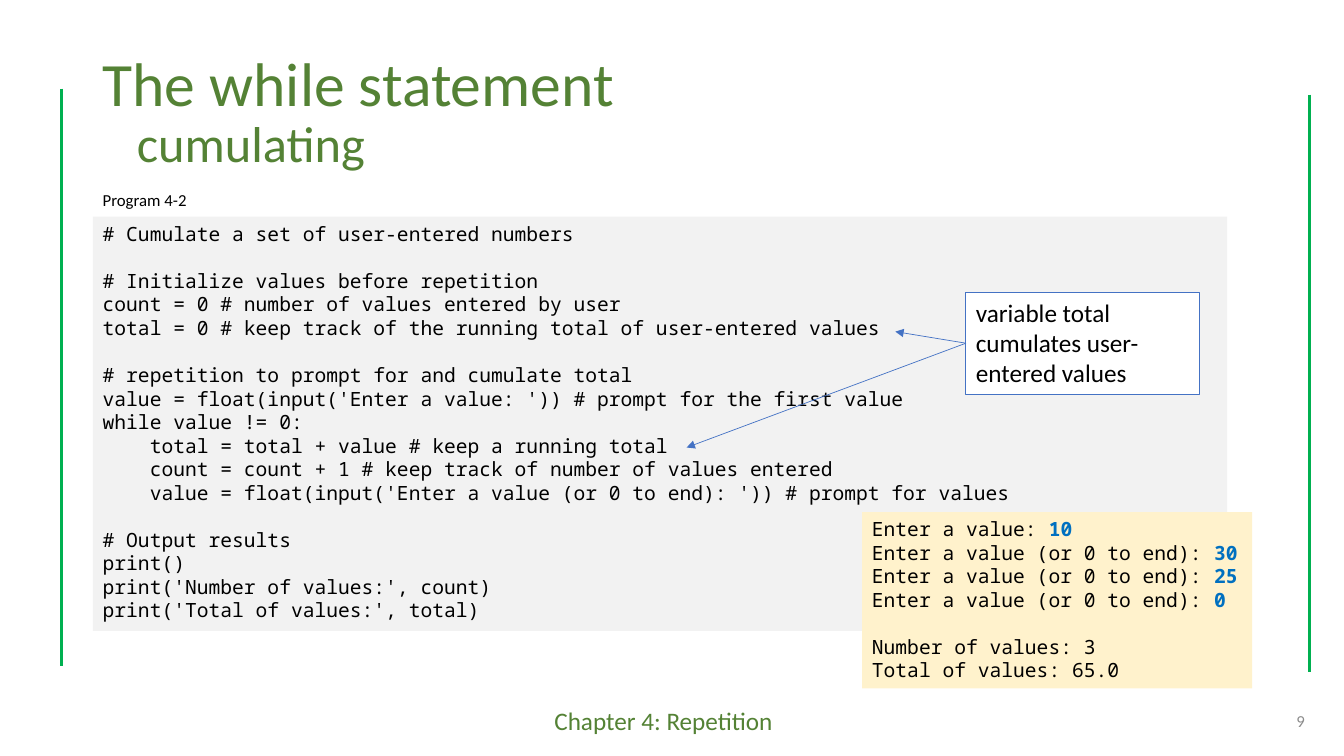
from pptx import Presentation
from pptx.dml.color import RGBColor
from pptx.enum.shapes import MSO_CONNECTOR
from pptx.enum.text import MSO_ANCHOR, PP_ALIGN
from pptx.oxml.ns import qn
from pptx.util import Inches, Pt
from lxml import etree

COLORS = {
    "green": "548235", "rule": "00B050", "blue": "4472C4", "input": "0070C0",
    "black": "000000", "gray": "8C8C8C", "white": "FFFFFF",
    "code": "F2F2F2", "output": "FFF2CC",
}
MONO = "Noto Sans Mono"
BLANK = Pt(16.8)

deck = Presentation()
deck.slide_width, deck.slide_height = Inches(13.33), Inches(7.5)
slide = deck.slides.add_slide(deck.slide_layouts[6])


def color(name):
    return RGBColor.from_string(COLORS[name])


def add_line(start, end, ink, width):
    line = slide.shapes.add_connector(
        MSO_CONNECTOR.STRAIGHT, *[Inches(v) for v in start + end])
    line.line.color.rgb = color(ink)
    line.line.width = Pt(width)
    etree.SubElement(line._element.spPr, qn("a:effectLst"))
    return line


for x, top in ((0.61, 0.88), (12.99, 0.94)):
    add_line((x, top), (x, top + 5.73), "rule", 2.25)

code = """# Cumulate a set of user-entered numbers

# Initialize values before repetition
count = 0 # number of values entered by user
total = 0 # keep track of the running total of user-entered values

# repetition to prompt for and cumulate total
value = float(input('Enter a value: ')) # prompt for the first value
while value != 0:
    total = total + value # keep a running total
    count = count + 1 # keep track of number of values entered
    value = float(input('Enter a value (or 0 to end): ')) # prompt for values

# Output results
print()
print('Number of values:', count)
print('Total of values:', total)"""

output = """Enter a value: |10
Enter a value (or 0 to end): |30
Enter a value (or 0 to end): |25
Enter a value (or 0 to end): |0

Number of values: 3
Total of values: 65.0"""

boxes = {
    "footer": ((5.4, 6.95, 2.53, 0.4), "Chapter 4: Repetition",
               {"size": 18, "ink": "green"}),
    "title": ((0.92, 0.4, 11.5, 1.45), "The while statement\ncumulating",
              {"size": 44, "ink": "green", "anchor": MSO_ANCHOR.MIDDLE}),
    "number": ((10.04, 6.95, 3, 0.4), "9",
               {"size": 12, "ink": "gray", "anchor": MSO_ANCHOR.MIDDLE,
                "align": PP_ALIGN.RIGHT}),
    "code": ((0.92, 2.15, 11.25, 4.11), code,
             {"size": 14, "font": MONO, "fill": "code"}),
    "output": ((8.55, 5.08, 3.87, 1.75), output,
               {"size": 14, "font": MONO, "fill": "output"}),
    "label": ((0.92, 1.83, 2.03, 0.3), "Program 4-2", {"size": 12}),
    "note": ((9.58, 2.9, 2.32, 1.01),
             "variable total cumulates user-entered values",
             {"size": 18, "fill": "white", "line": "blue"}),
}

made = {}
for name, (place, text, style) in boxes.items():
    box = slide.shapes.add_textbox(*[Inches(v) for v in place])
    made[name] = box
    if "fill" in style:
        box.fill.solid()
        box.fill.fore_color.rgb = color(style["fill"])
    if "line" in style:
        box.line.color.rgb = color(style["line"])
        box.line.width = Pt(0.75)
    frame = box.text_frame
    frame.word_wrap = True
    frame.vertical_anchor = style.get("anchor", MSO_ANCHOR.TOP)
    para = frame.paragraphs[0]
    for group, block in enumerate(text.split("\n\n")):
        for row, words in enumerate(block.split("\n")):
            if group or row:
                para = frame.add_paragraph()
            if group and not row:
                para.space_before = BLANK
            para.alignment = style.get("align", PP_ALIGN.LEFT)
            for part, piece in enumerate(words.split("|")):
                run = para.add_run()
                run.text = piece
                look = {"name": style.get("font", "Calibri"),
                        "size": Pt(style["size"]), "bold": part == 1}
                for key, value in look.items():
                    setattr(run.font, key, value)
                ink = "input" if part else style.get("ink", "black")
                run.font.color.rgb = color(ink)

head, sub = made["title"].text_frame.paragraphs
head.line_spacing = sub.line_spacing = 0.9
sub.runs[0].font.size = Pt(36)
sub._p.get_or_add_pPr().set("marL", str(Inches(0.34)))

for tip in ((8.88, 3.29), (6.81, 4.44)):
    arrow = add_line((9.58, 3.41), tip, "blue", 0.5)
    arrow.begin_connect(made["note"], 1)
    etree.SubElement(arrow.line._get_or_add_ln(), qn("a:tailEnd"), type="triangle")

deck.save("out.pptx")
